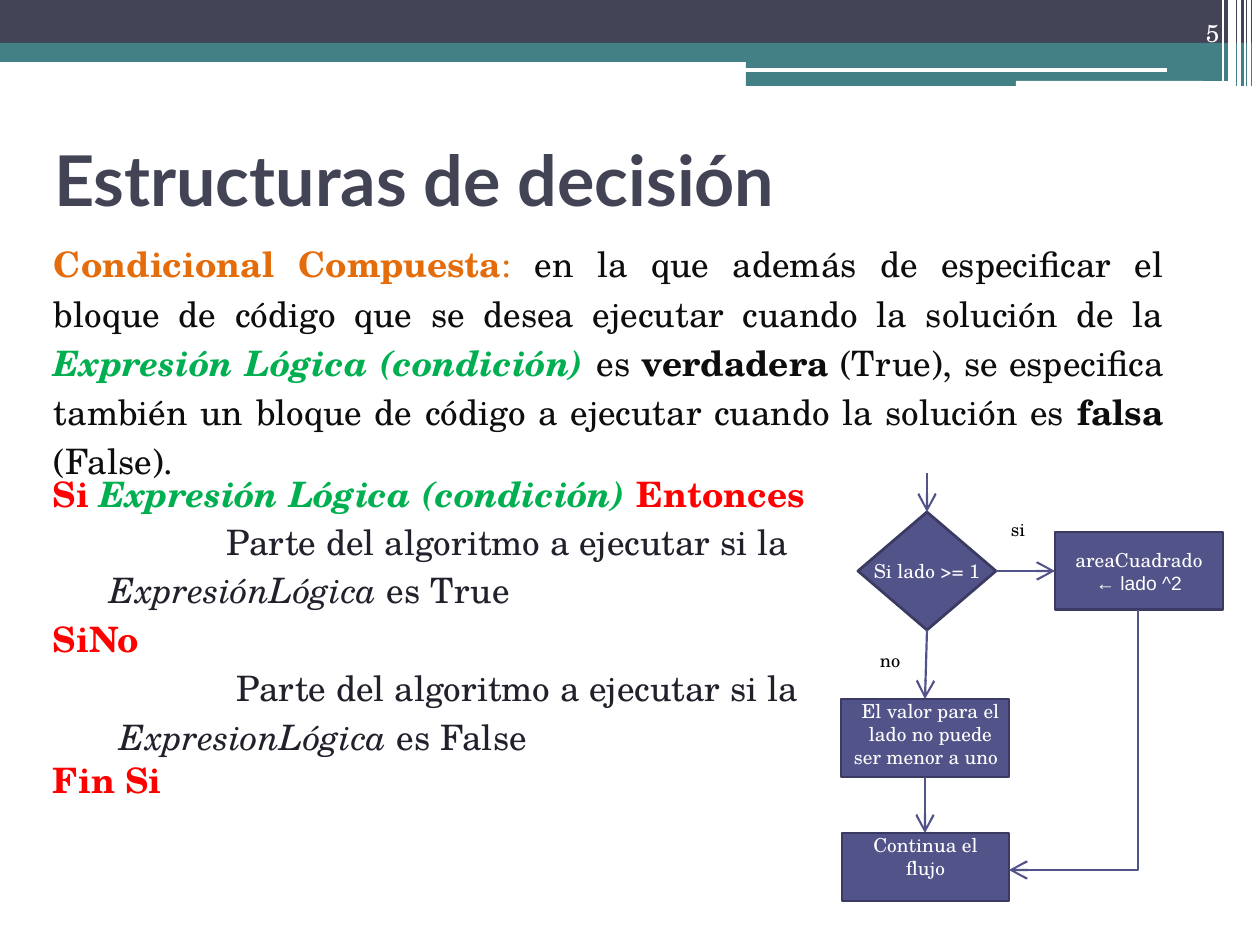
import dataclasses
import typing

import lxml.etree
import pptx
import pptx.dml.color
import pptx.enum.shapes
import pptx.enum.text
import pptx.oxml.ns
import pptx.util

EMU_PER_PX = 914400 / 126
SHAPE = pptx.enum.shapes.MSO_SHAPE
ALIGN = pptx.enum.text.PP_ALIGN
ANCHOR = pptx.enum.text.MSO_ANCHOR


@dataclasses.dataclass(frozen=True)
class Theme:
    serif: str = "TeX Gyre Schola"
    heading: str = "Lato"
    sans: str = "Arial"
    navy: str = "424455"
    teal: str = "438085"
    node: str = "525389"
    border: str = "3A3A63"
    white: str = "FFFFFF"
    black: str = "000000"
    ink: str = "0D0D0D"
    code: str = "20212B"
    orange: str = "E46C0A"
    green: str = "00B050"
    red: str = "FF0000"
    title_size: float = 40
    body_size: float = 20
    number_size: float = 14
    node_size: float = 11
    label_size: float = 10.5


THEME = Theme()


@dataclasses.dataclass
class Span:
    text: str
    color: typing.Optional[str] = None
    bold: typing.Optional[bool] = None
    italic: typing.Optional[bool] = None


@dataclasses.dataclass
class Para:
    spans: list
    size: float = THEME.body_size
    color: str = THEME.ink
    font: str = THEME.serif
    bold: bool = False
    align: typing.Any = ALIGN.LEFT
    indent: int = 0
    spacing: typing.Any = None
    before: float = 0


def px(length):
    return pptx.util.Emu(round(length * EMU_PER_PX))


def rgb(color):
    return pptx.dml.color.RGBColor.from_string(color)


def write(frame, paras, anchor=ANCHOR.TOP, wrap=True):
    frame.margin_left = frame.margin_right = 0
    frame.margin_top = frame.margin_bottom = 0
    frame.word_wrap = wrap
    frame.vertical_anchor = anchor
    for index, item in enumerate(paras):
        para = frame.add_paragraph() if index else frame.paragraphs[0]
        para.alignment = item.align
        para._p.get_or_add_pPr().set("marL", str(px(item.indent)))
        if item.spacing:
            para.line_spacing = item.spacing
        if item.before:
            para.space_before = pptx.util.Pt(item.before)
        para.font.name = item.font
        para.font.size = pptx.util.Pt(item.size)
        para.font.bold = item.bold
        para.font.color.rgb = rgb(item.color)
        for part in item.spans:
            span = para.add_run()
            span.text = part.text
            span.font.bold = part.bold
            span.font.italic = part.italic
            if part.color:
                span.font.color.rgb = rgb(part.color)


def add_text(page, left, top, width, height, paras, wrap=True):
    box = page.shapes.add_textbox(px(left), px(top), px(width), px(height))
    write(box.text_frame, paras, wrap=wrap)


def add_block(page, kind, left, top, width, height, fill, border=None):
    block = page.shapes.add_shape(kind, px(left), px(top), px(width), px(height))
    block.shadow.inherit = False
    block.fill.solid()
    block.fill.fore_color.rgb = rgb(fill)
    if border:
        block.line.color.rgb = rgb(border)
        block.line.width = pptx.util.Pt(1.56)
    else:
        block.line.fill.background()
    return block


def add_node(page, kind, bounds, paras, anchor=ANCHOR.TOP, wrap=True):
    node = add_block(page, kind, *bounds, THEME.node, THEME.border)
    write(node.text_frame, paras, anchor, wrap)


def add_line(page, start, end, color, width):
    line = page.shapes.add_connector(
        pptx.enum.shapes.MSO_CONNECTOR.STRAIGHT, *map(px, start + end))
    line.line.color.rgb = rgb(color)
    line.line.width = pptx.util.Pt(width)
    lxml.etree.SubElement(line._element.spPr, pptx.oxml.ns.qn("a:effectLst"))
    return line


def add_arrowhead(line):
    outline = line.line._get_or_add_ln()
    lxml.etree.SubElement(outline, pptx.oxml.ns.qn("a:tailEnd"),
                          type="arrow", w="lg", len="lg")


def add_arrow(page, start, end):
    add_arrowhead(add_line(page, start, end, THEME.node, 1.25))


def add_bent_arrow(page, start, corner, end):
    builder = page.shapes.build_freeform(px(start[0]), px(start[1]))
    builder.add_line_segments(
        [(px(x), px(y)) for x, y in (corner, end)], close=False)
    route = builder.convert_to_shape()
    route.shadow.inherit = False
    route.fill.background()
    route.line.color.rgb = rgb(THEME.node)
    route.line.width = pptx.util.Pt(1.25)
    add_arrowhead(route)


def add_header(page):
    for bounds, color in (((0, 55, 746, 7), THEME.teal),
                          ((0, 0, 1252, 43), THEME.navy),
                          ((0, 43, 1252, 12), THEME.teal),
                          ((746, 49, 506, 37), THEME.teal)):
        add_block(page, SHAPE.RECTANGLE, *bounds, color)
    add_line(page, (745, 70), (1167, 70), THEME.white, 2.25)
    add_block(page, SHAPE.ROUNDED_RECTANGLE, 1016, 81, 220, 5, THEME.white)
    for x, bottom, width in ((1249, 86, 2.25), (1245, 86, 0.82), (1239, 86, 2.25),
                             (1232, 81, 4.42), (1223, 81, 0.82)):
        add_line(page, (x, 0), (x, bottom), THEME.white, width)
    add_text(page, 1206, 18, 16, 28,
             [Para([Span("5")], THEME.number_size, THEME.white)], wrap=False)


def add_definition(page):
    add_text(page, 54, 236, 1110, 246, [Para([
        Span("Condicional Compuesta", THEME.orange, True),
        Span(": ", THEME.orange),
        Span("en la que además de especificar el bloque de código que se desea "
             "ejecutar cuando la solución de la "),
        Span("Expresión Lógica (condición) ", THEME.green, True, True),
        Span("es "),
        Span("verdadera", bold=True),
        Span(" (True), se especifica también un bloque de código a ejecutar "
             "cuando la solución es "),
        Span("falsa", bold=True),
        Span(" (False)."),
    ], align=ALIGN.JUSTIFY, spacing=pptx.util.Pt(28))])


def branch(name, value, indent, before=0):
    style = dict(color=THEME.code, spacing=1.14, before=before)
    return [
        Para([Span("Parte del algoritmo a ejecutar si la")],
             indent=indent + 117, **style),
        Para([Span(name + " ", italic=True), Span("es " + value)],
             indent=indent, **style),
    ]


def add_pseudocode(page):
    keyword = dict(color=THEME.red, bold=True)
    add_text(page, 53, 467, 791, 398, [
        Para([Span("Si "),
              Span("Expresión Lógica (condición) ", THEME.green, italic=True),
              Span("Entonces")], spacing=1.14, **keyword),
        *branch("ExpresiónLógica", "True", 57),
        Para([Span("SiNo")], spacing=1.14, before=0.6, **keyword),
        *branch("ExpresionLógica", "False", 67, 0.6),
        Para([Span("Fin Si")], before=0.6, **keyword),
    ])


def node_para(text, **style):
    return Para([Span(text)], THEME.node_size, THEME.white,
                **{"align": ALIGN.CENTER, **style})


def add_flowchart(page):
    add_node(page, SHAPE.DIAMOND, (858, 512, 138, 118),
             [node_para("Si lado >= 1")], ANCHOR.MIDDLE, wrap=False)
    add_node(page, SHAPE.RECTANGLE, (1055, 532, 168, 78),
             [node_para("areaCuadrado"),
              node_para("← lado ^2", font=THEME.sans)], ANCHOR.MIDDLE)
    add_node(page, SHAPE.RECTANGLE, (841, 699, 168, 78),
             [node_para("El valor para el lado no puede", indent=11),
              node_para("ser menor a uno", align=ALIGN.LEFT, indent=13)])
    add_node(page, SHAPE.RECTANGLE, (842, 833, 167, 68),
             [node_para("Continua el"), node_para("flujo")])
    for start, end in (((927, 473), (927, 512)), ((996, 571), (1055, 571)),
                       ((927, 630), (925, 699)), ((925, 777), (925, 833))):
        add_arrow(page, start, end)
    add_bent_arrow(page, (1138, 610), (1138, 870), (1009, 870))
    for text, left, top in (("si", 1011, 518), ("no", 880, 649)):
        add_text(page, left, top, 24, 22,
                 [Para([Span(text)], THEME.label_size, THEME.black)], wrap=False)


def main():
    deck = pptx.Presentation()
    deck.slide_width, deck.slide_height = px(1260), px(945)
    page = deck.slides.add_slide(deck.slide_layouts[6])
    add_header(page)
    add_text(page, 54, 121, 1112, 71, [
        Para([Span("Estructuras de decisión")], THEME.title_size, THEME.navy,
             THEME.heading, bold=True, spacing=1.19)])
    add_definition(page)
    add_pseudocode(page)
    add_flowchart(page)
    deck.save("out.pptx")


if __name__ == "__main__":
    main()
